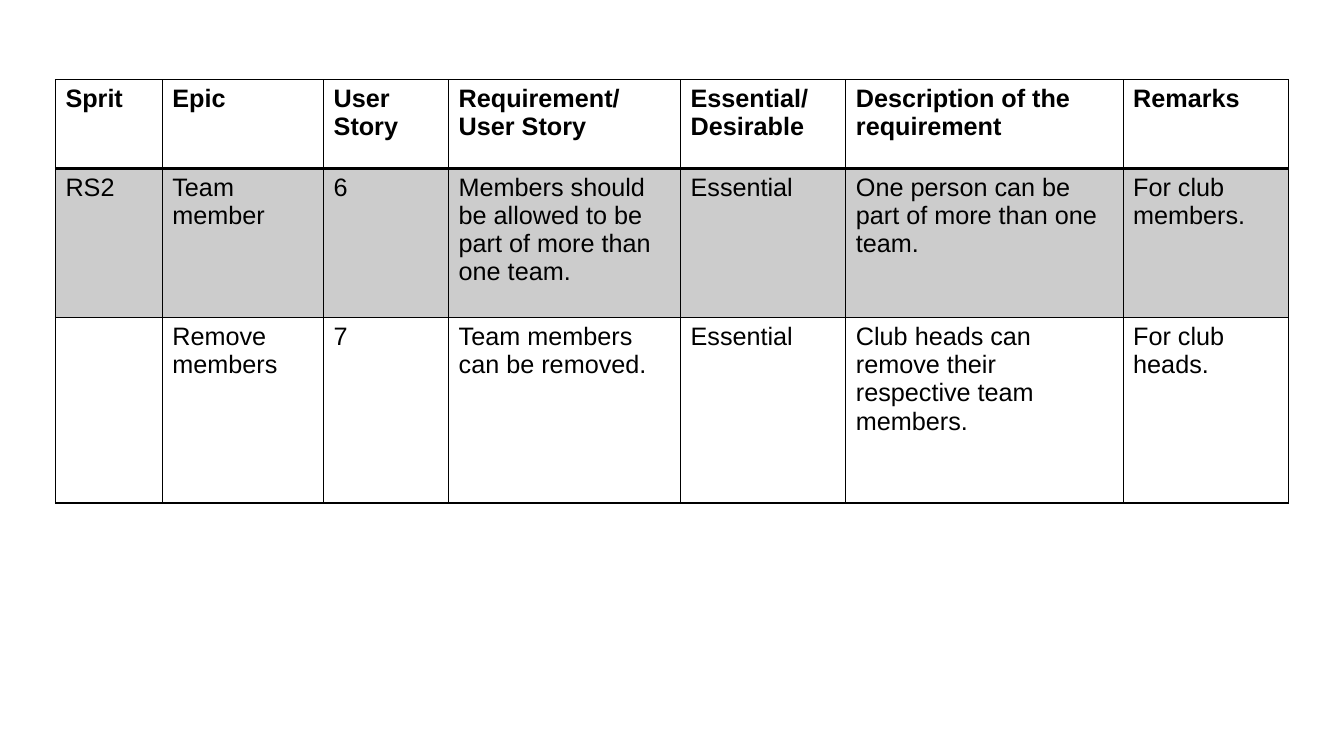
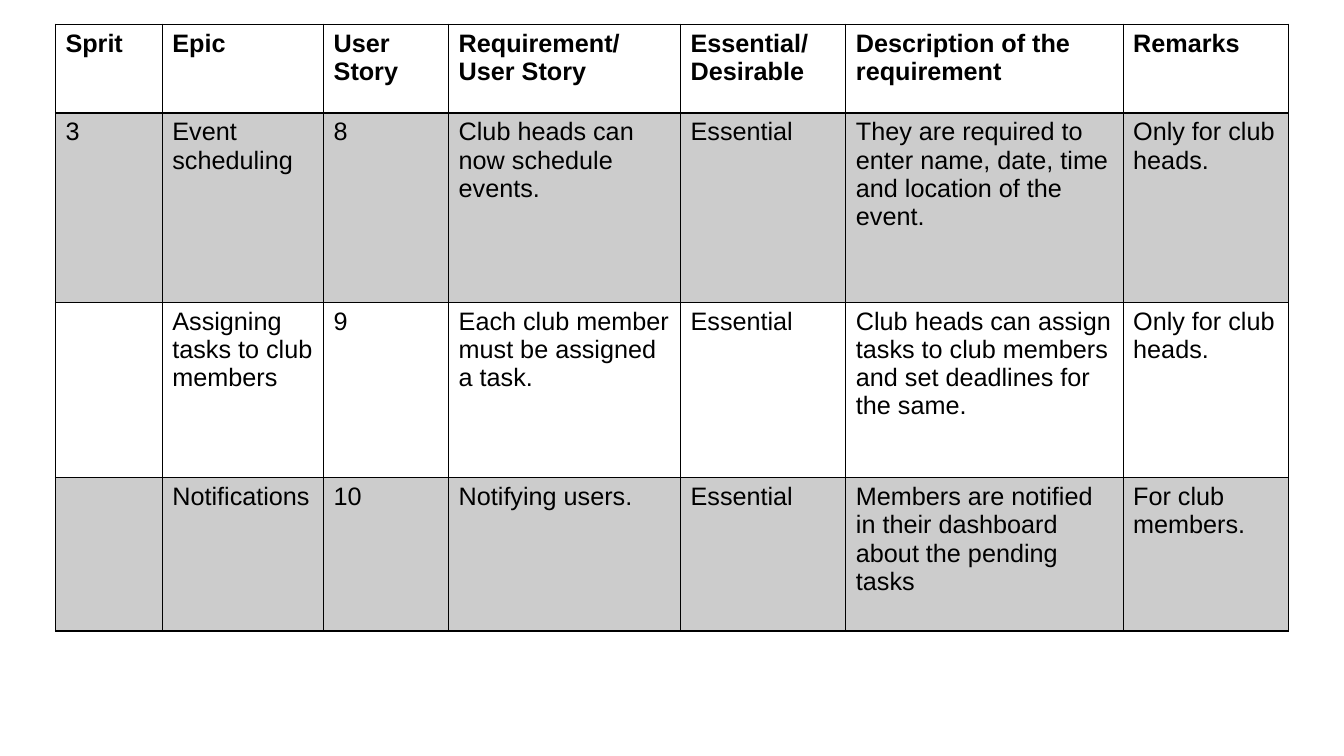
from lxml import etree
from pptx import Presentation
from pptx.dml.color import RGBColor
from pptx.oxml.ns import qn
from pptx.util import Inches, Pt

INK = "000000"
FONT = "Arial"
TEXT_SIZE = 18
BAND_OPACITY = 20
THIN, THICK = 1, 2
TABLE_LEFT = 0.55
COLUMN_WIDTHS = [1.06, 1.6, 1.24, 2.3, 1.64, 2.75, 1.64]
HEADER_HEIGHT = 0.88
HEADINGS = [
    "Sprit", "Epic", "User Story", "Requirement/\nUser Story",
    "Essential/\nDesirable", "Description of the requirement", "Remarks",
]

TEAM_STORIES = [
    (1.48, ["RS2", "Team member", "6",
            "Members should be allowed to be part of more than one team.",
            "Essential", "One person can be part of more than one team.",
            "For club members."]),
    (1.84, ["", "Remove members", "7", "Team members can be removed.",
            "Essential",
            "Club heads can remove their respective team members.",
            "For club heads."]),
]
EVENT_STORIES = [
    (1.88, ["3", "Event scheduling", "8",
            "Club heads can now schedule events.", "Essential",
            "They are required to enter name, date, time and location of the event.",
            "Only for club heads."]),
    (1.74, ["", "Assigning tasks to club members", "9",
            "Each club member must be assigned a task.", "Essential",
            "Club heads can assign tasks to club members and set deadlines for the same.",
            "Only for club heads."]),
    (1.52, ["", "Notifications", "10", "Notifying users.", "Essential",
            "Members are notified in their dashboard about the pending tasks",
            "For club members."]),
]


def color(hex_value):
    return RGBColor.from_string(hex_value)


def draw_borders(cell, top, bottom):
    properties = cell._tc.get_or_add_tcPr()
    sides = {"lnL": THIN, "lnR": THIN, "lnT": top, "lnB": bottom}
    for side, width in sides.items():
        line = etree.SubElement(properties, qn(f"a:{side}"), w=str(Pt(width)))
        paint = etree.SubElement(line, qn("a:solidFill"))
        etree.SubElement(paint, qn("a:srgbClr"), val=INK)


def fill_band(cell):
    cell.fill.solid()
    cell.fill.fore_color.rgb = color(INK)
    shade = cell._tc.tcPr.find(qn("a:solidFill")).find(qn("a:srgbClr"))
    etree.SubElement(shade, qn("a:alpha"), val=str(BAND_OPACITY * 1000))


def write_cell(cell, text, bold):
    cell.text = text
    for paragraph in cell.text_frame.paragraphs:
        paragraph.font.name = FONT
        paragraph.font.size = Pt(TEXT_SIZE)
        paragraph.font.bold = bold
        paragraph.font.color.rgb = color(INK)


def add_story_table(slide, left, top, stories):
    rows = [(HEADER_HEIGHT, HEADINGS)] + stories
    heights = [height for height, _ in rows]
    table = slide.shapes.add_table(
        len(rows), len(HEADINGS), Inches(left), Inches(top),
        Inches(sum(COLUMN_WIDTHS)), Inches(sum(heights))).table
    table.first_row = False
    table.horz_banding = False
    for column, width in zip(table.columns, COLUMN_WIDTHS):
        column.width = Inches(width)
    for index, (height, texts) in enumerate(rows):
        table.rows[index].height = Inches(height)
        for cell, text in zip(table.rows[index].cells, texts):
            write_cell(cell, text, bold=index == 0)
            draw_borders(cell, THICK if index == 1 else THIN,
                         THICK if index == 0 else THIN)
            if index % 2:
                fill_band(cell)
            else:
                cell.fill.background()


def main():
    deck = Presentation()
    deck.slide_width = Inches(13.33)
    deck.slide_height = Inches(7.5)
    for top, stories in [(0.79, TEAM_STORIES), (0.24, EVENT_STORIES)]:
        slide = deck.slides.add_slide(deck.slide_layouts[6])
        add_story_table(slide, TABLE_LEFT, top, stories)
    deck.save("out.pptx")


if __name__ == "__main__":
    main()
